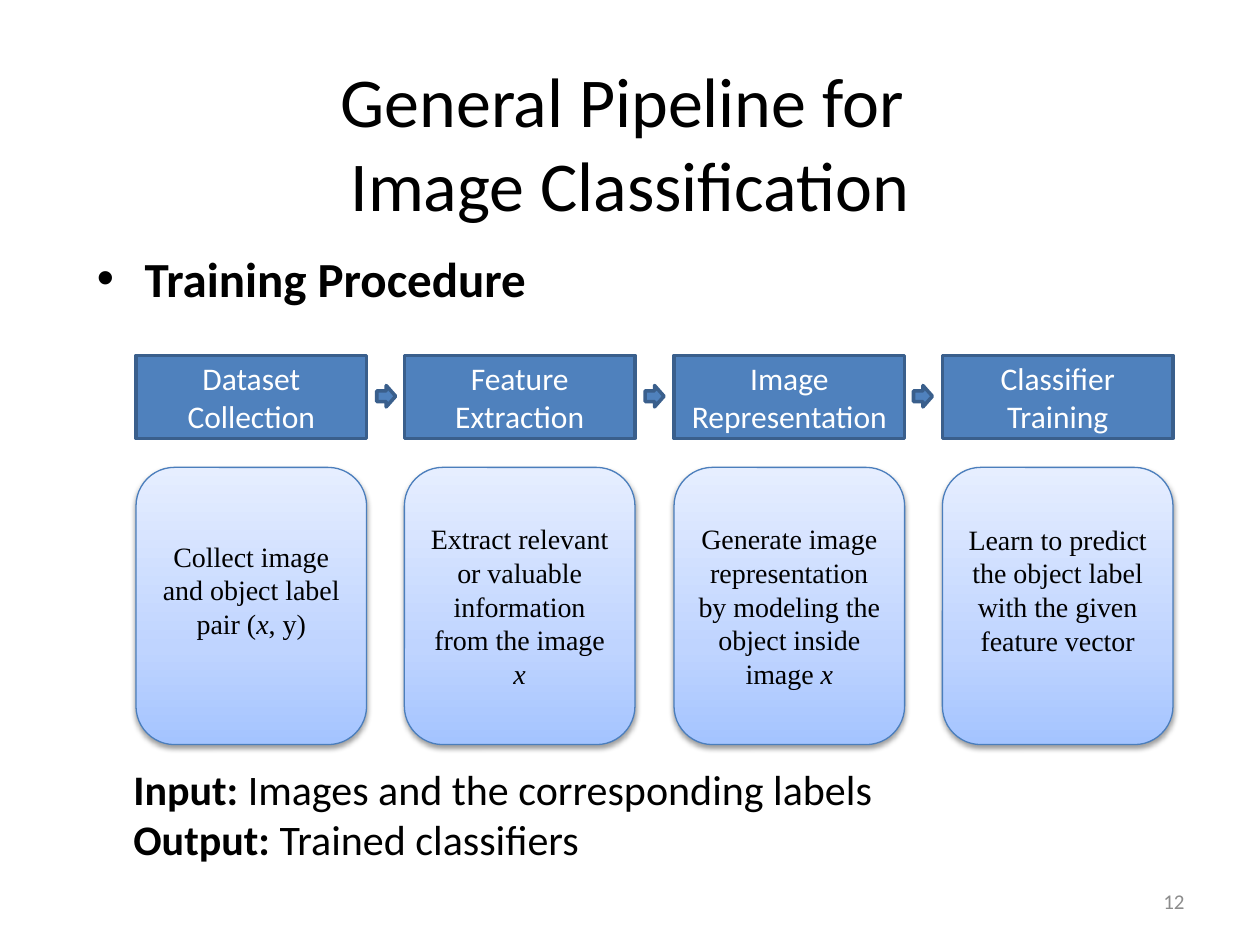
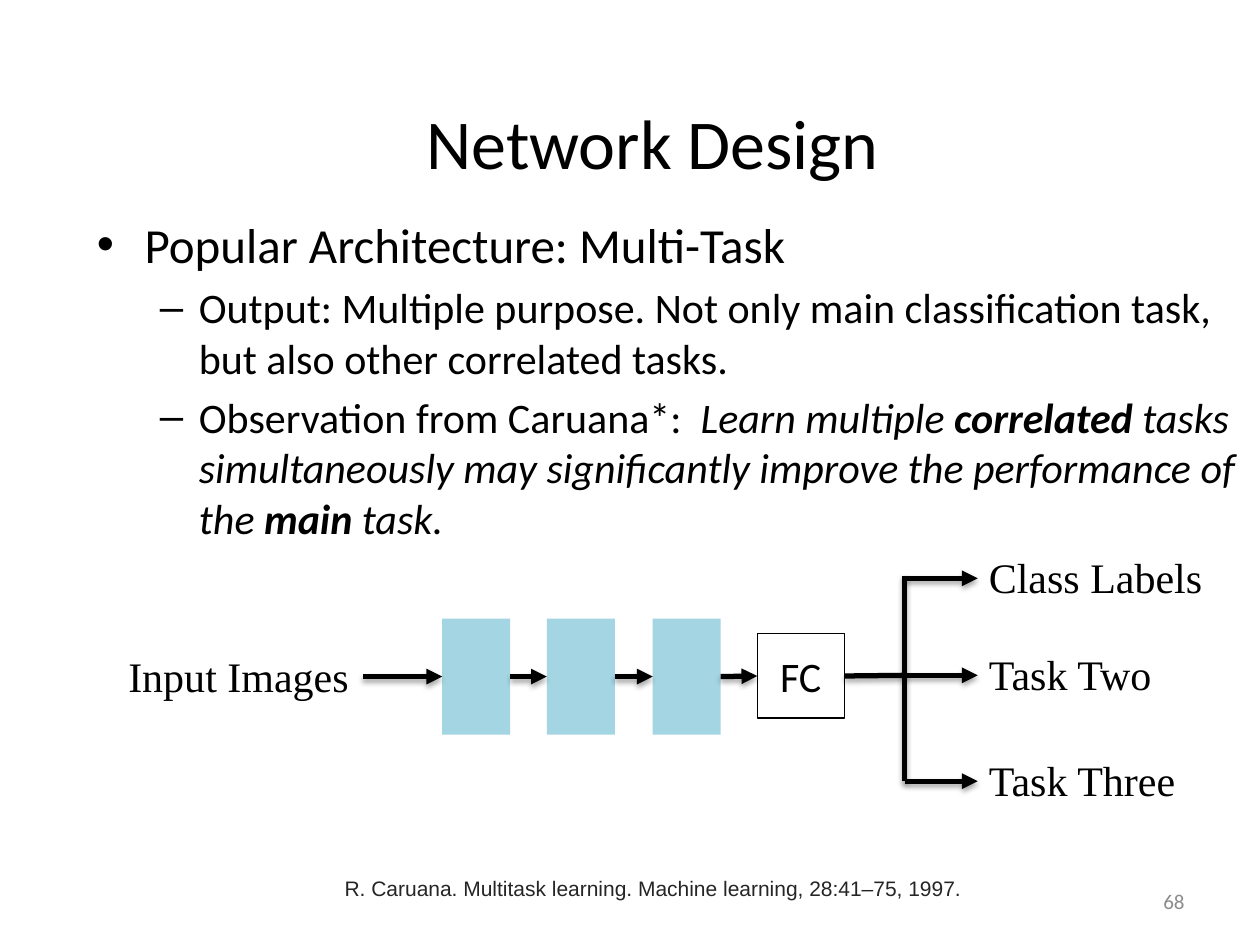
from dataclasses import dataclass

from lxml import etree
from pptx import Presentation
from pptx.dml.color import RGBColor
from pptx.enum.shapes import MSO_CONNECTOR, MSO_SHAPE
from pptx.enum.text import MSO_ANCHOR, PP_ALIGN
from pptx.oxml.ns import qn
from pptx.util import Pt

RECT, ROUND_RECT = MSO_SHAPE.RECTANGLE, MSO_SHAPE.ROUNDED_RECTANGLE
RIGHT_ARROW, STRAIGHT = MSO_SHAPE.RIGHT_ARROW, MSO_CONNECTOR.STRAIGHT
TOP, MIDDLE = MSO_ANCHOR.TOP, MSO_ANCHOR.MIDDLE
LEFT, CENTER, RIGHT = PP_ALIGN.LEFT, PP_ALIGN.CENTER, PP_ALIGN.RIGHT
SIDE_LEFT, SIDE_RIGHT = 1, 3
PX = 9144  # EMU per px, 100 px to the inch


@dataclass(frozen=True)
class Theme:
    sans: str = "Calibri"
    serif: str = "Times New Roman"
    cite_font: str = "Arial"
    black: str = "000000"
    white: str = "FFFFFF"
    number: str = "8C8C8C"
    cite: str = "252525"
    step_fill: str = "4F81BD"
    step_line: str = "3A5F8C"
    card_line: str = "4B7EBC"
    card_stops: tuple = ((0, "A4C4FF"), (35, "BFD4FF"), (100, "E6EEFF"))
    layer: str = "4BACC6"
    title_size: int = 40
    head_size: int = 28
    body_size: int = 24
    step_size: int = 18
    card_size: int = 16
    small_size: int = 12


T = Theme()

# A paragraph is a list of (text, style) runs; style may hold "b" and "i".
PIPELINE = {
    "title": ["General Pipeline for ", "Image Classification"],
    "number": "12",
    "bullets": [(0, [("Training Procedure", "b")])],
    "steps": [  # heading, card text, blank lines kept free below the text
        ("Dataset Collection",
         [("Collect image and object label pair (", ""), ("x", "i"), (", y)", "")], 1),
        ("Feature Extraction",
         [("Extract relevant or valuable information from the image ", ""), ("x", "i")], 0),
        ("Image Representation",
         [("Generate image representation by modeling the object inside image ", ""),
          ("x", "i")], 0),
        ("Classifier Training",
         [("Learn to predict the object label with the given feature vector", "")], 1),
    ],
    "summary": [
        [("Input: ", "b"), ("Images and the corresponding labels", "")],
        [("Output: ", "b"), ("Trained classifiers", "")],
    ],
}
NETWORK = {
    "title": ["Network Design"],
    "number": "68",
    "bullets": [
        (0, [("Popular Architecture: Multi-Task", "")]),
        (1, [("Output: Multiple purpose. Not only main classification task, "
              "but also other correlated tasks.", "")]),
        (1, [("Observation from Caruana*:  ", ""), ("Learn multiple ", "i"),
             ("correlated", "bi"),
             (" tasks simultaneously may significantly improve the performance of the ", "i"),
             ("main", "bi"), (" task.", "i")]),
    ],
    "input": "Input Images",
    "layers": 3,
    "head": "FC",
    "outputs": [("Class Labels", 459), ("Task Two", 536), ("Task Three", 620)],
    "citation": "R. Caruana. Multitask learning. Machine learning, 28:41–75, 1997.",
}
# level: (size, left margin px, hanging px, bullet)
LEVELS = {0: (T.head_size, 38, 38, "•"), 1: (T.body_size, 81, 31, "–")}


def rgb(color):
    return RGBColor.from_string(color)


def px(*values):
    return [round(v) * PX for v in values]


def sub(parent, tag, **attrs):
    return etree.SubElement(parent, qn(tag), {k: str(v) for k, v in attrs.items()})


def add_runs(p, runs, size, font, color):
    for text, style in runs:
        r = p.add_run()
        r.text = text
        r.font.size, r.font.name = Pt(size), font
        r.font.bold, r.font.italic = "b" in style, "i" in style
        r.font.color.rgb = rgb(color)


def write(s, paragraphs, size, font=T.sans, color=T.black, align=LEFT, anchor=TOP):
    tf = s.text_frame
    tf.word_wrap, tf.vertical_anchor = True, anchor
    for i, runs in enumerate(paragraphs):
        p = tf.paragraphs[0] if i == 0 else tf.add_paragraph()
        p.alignment = align
        add_runs(p, runs, size, font, color)
    return tf


def add_text(slide, box, paragraphs, size, **style):
    return write(slide.shapes.add_textbox(*px(*box)), paragraphs, size, **style)


def add_box(slide, kind, box, fill=None, line=None, width=0):
    s = slide.shapes.add_shape(kind, *px(*box))
    s.shadow.inherit = False
    if fill:
        s.fill.solid()
        s.fill.fore_color.rgb = rgb(fill)
    else:
        s.fill.background()
    if line:
        s.line.color.rgb, s.line.width = rgb(line), Pt(width)
    else:
        s.line.fill.background()
    return s


def drop_shadow(effects, distance, alpha):
    shadow = sub(effects, "a:outerShdw", blurRad=Pt(3.1), dist=Pt(distance),
                 dir=5400000, rotWithShape=0)
    color = sub(shadow, "a:srgbClr", val=T.black)
    sub(color, "a:alpha", val=alpha * 1000)


def add_line(slide, start, end, arrow=True, begin=None, finish=None):
    """Heavy line; begin and finish are shapes to join at their right and left sides."""
    s = slide.shapes.add_connector(STRAIGHT, *px(*start, *end))
    if begin is not None:
        s.begin_connect(begin, SIDE_RIGHT)
    if finish is not None:
        s.end_connect(finish, SIDE_LEFT)
    s.line.color.rgb, s.line.width = rgb(T.black), Pt(3)
    if arrow:
        sub(s.line._get_or_add_ln(), "a:tailEnd", type="triangle")
    drop_shadow(sub(s._element.spPr, "a:effectLst"), 1.8, 35)


def add_bullets(slide, box, bullets):
    tf = slide.shapes.add_textbox(*px(*box)).text_frame
    tf.word_wrap = True
    for i, (level, runs) in enumerate(bullets):
        p = tf.paragraphs[0] if i == 0 else tf.add_paragraph()
        size, margin, hanging, char = LEVELS[level]
        p.level = level
        if i:
            p.space_before = Pt(5)
        pPr = p._p.get_or_add_pPr()
        pPr.set("marL", str(margin * PX))
        pPr.set("indent", str(-hanging * PX))
        sub(pPr, "a:buFont", typeface="Arial")
        sub(pPr, "a:buChar", char=char)
        add_runs(p, runs, size, T.sans, T.black)


def start_slide(prs, content, title_width, bullet_box):
    """Blank slide with the shared title, bullets and slide number."""
    slide = prs.slides.add_slide(prs.slide_layouts[6])
    tf = add_text(slide, (69, 40, title_width, 145), [[]], T.title_size,
                  align=CENTER, anchor=MIDDLE)
    p = tf.paragraphs[0]
    for i, line in enumerate(content["title"]):
        if i:
            p.add_line_break()
        add_runs(p, [(line, "")], T.title_size, T.sans, T.black)
    add_bullets(slide, bullet_box, content["bullets"])
    add_text(slide, (717, 695, 233, 40), [[(content["number"], "")]], T.small_size,
             color=T.number, align=RIGHT, anchor=MIDDLE)
    return slide


def add_card(slide, box, runs, blank_lines):
    s = add_box(slide, ROUND_RECT, box, T.white, T.card_line, 0.75)
    s.fill.gradient()
    s.fill.gradient_angle = 90
    stops = s._element.spPr.find(".//" + qn("a:gsLst"))
    for old in list(stops):
        stops.remove(old)
    for position, color in T.card_stops:
        sub(sub(stops, "a:gs", pos=position * 1000), "a:srgbClr", val=color)
    drop_shadow(s._element.spPr.find(qn("a:effectLst")), 1.6, 38)
    tf = write(s, [runs], T.card_size, T.serif, align=CENTER, anchor=MIDDLE)
    tf.margin_bottom = (5 + 26 * blank_lines) * PX


def build_pipeline(prs):
    slide = start_slide(prs, PIPELINE, 862, (67, 192, 900, 495))
    left, width, pitch = 108, 183, 640 / 3
    step_top, step_height, arrow_w, arrow_h = 282, 66, 15, 17
    for i, (heading, runs, blank_lines) in enumerate(PIPELINE["steps"]):
        x = left + i * pitch
        s = add_box(slide, RECT, (x, step_top, width, step_height),
                    T.step_fill, T.step_line, 2)
        write(s, [[(heading, "")]], T.step_size, color=T.white,
              align=CENTER, anchor=MIDDLE)
        add_card(slide, (x, 371, width, 220), runs, blank_lines)
        if i:
            arrow_x = x - (pitch - width + arrow_w) / 2
            arrow_y = step_top + (step_height - arrow_h) / 2
            add_box(slide, RIGHT_ARROW, (arrow_x, arrow_y, arrow_w, arrow_h),
                    T.step_fill, T.step_line, 2)
    add_text(slide, (96, 601, 712, 91), PIPELINE["summary"], T.body_size)


def build_network(prs):
    slide = start_slide(prs, NETWORK, 898, (67, 165, 925, 495))
    axis, fork_x, tip_x = 537, 718, 776
    add_text(slide, (92, 511, 197, 50), [[(NETWORK["input"], "")]], T.body_size,
             font=T.serif)

    nodes = []
    for i in range(NETWORK["layers"]):
        s = add_box(slide, RECT, (351 + i * 83.5, 491, 54, 92), T.layer)
        color = s._element.spPr.find(qn("a:solidFill")).find(qn("a:srgbClr"))
        sub(color, "a:alpha", val=50000)
        nodes.append(s)
    head = add_box(slide, RECT, (601, 503, 69, 67), line=T.black, width=0.75)
    write(head, [[(NETWORK["head"], "")]], T.body_size, align=CENTER, anchor=MIDDLE)
    nodes.append(head)

    add_line(slide, (288, axis), (351, axis), finish=nodes[0])
    for a, b in zip(nodes, nodes[1:]):
        add_line(slide, (0, axis), (0, axis), begin=a, finish=b)
    add_line(slide, (670, axis), (fork_x, 536), arrow=False, begin=head)

    outputs = NETWORK["outputs"]
    add_line(slide, (fork_x, outputs[0][1] - 2), (fork_x, outputs[-1][1]), arrow=False)
    for label, y in outputs:
        add_line(slide, (fork_x, y), (tip_x, y))
        add_text(slide, (775, y - 26, 210, 50), [[(label, "")]], T.body_size,
                 font=T.serif)
    add_text(slide, (149, 690, 739, 30), [[(NETWORK["citation"], "")]], T.small_size,
             font=T.cite_font, color=T.cite, align=CENTER)


def main():
    prs = Presentation()
    prs.slide_width, prs.slide_height = px(1000, 750)
    build_pipeline(prs)
    build_network(prs)
    prs.save("out.pptx")


if __name__ == "__main__":
    main()
